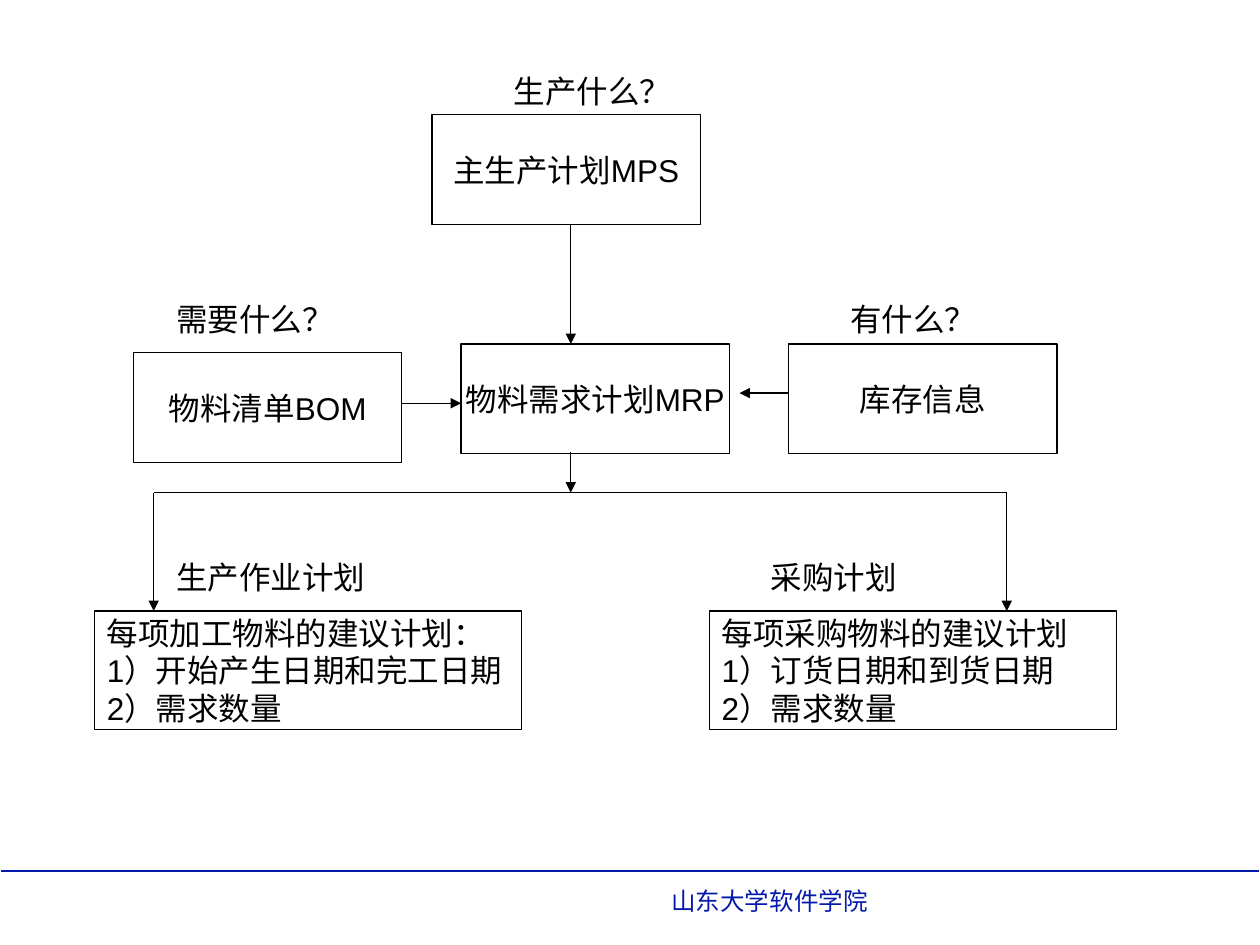
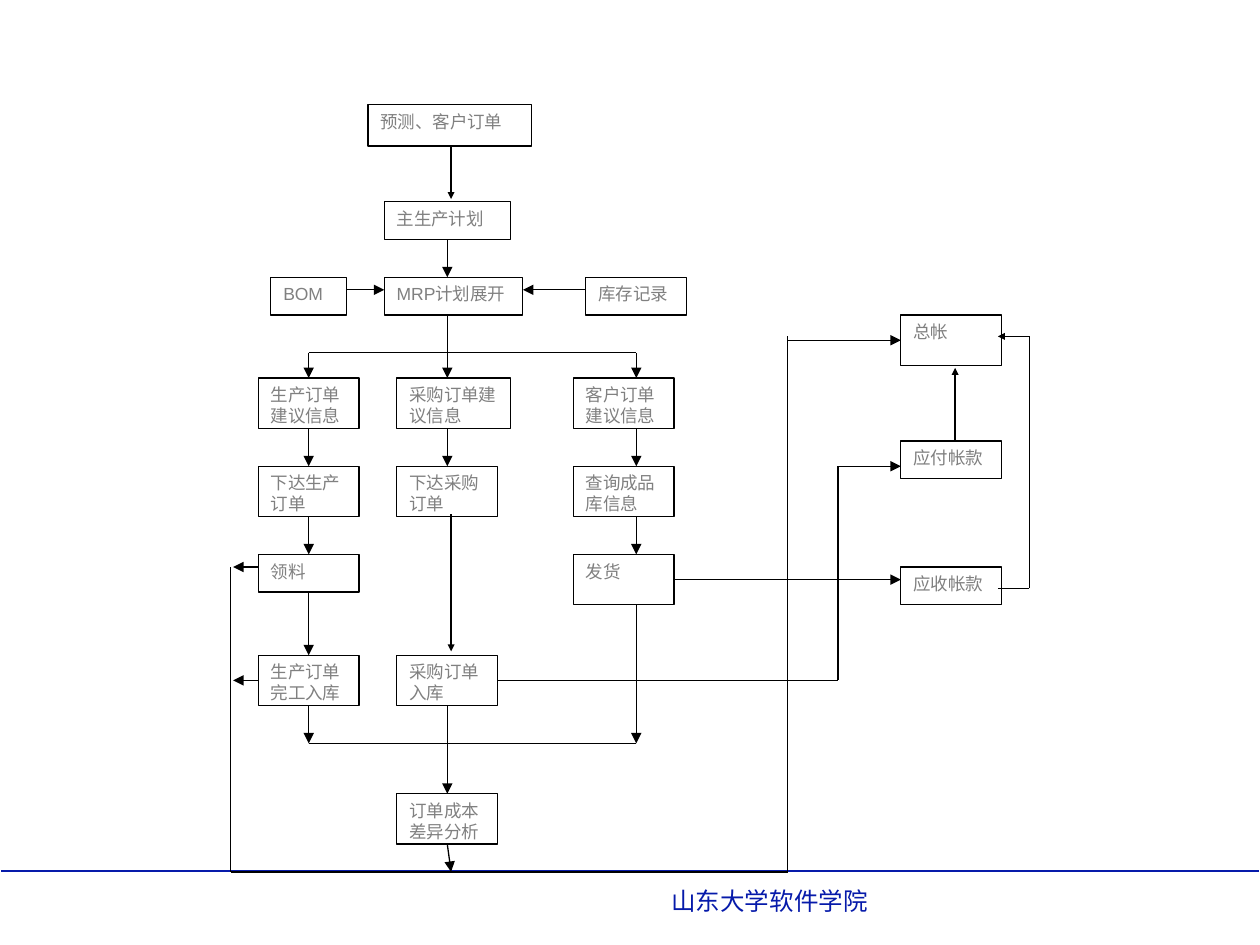
from itertools import pairwise

from lxml import etree
from pptx import Presentation
from pptx.dml.color import RGBColor
from pptx.enum.shapes import MSO_CONNECTOR, MSO_SHAPE
from pptx.enum.text import MSO_ANCHOR, PP_ALIGN
from pptx.oxml.ns import qn
from pptx.util import Pt

PX = 9144  # EMU per px, 100 px to the inch
BLACK = RGBColor(0x00, 0x00, 0x00)
GRAY = RGBColor(0x80, 0x80, 0x80)
WHITE = RGBColor(0xFF, 0xFF, 0xFF)
NAVY = RGBColor(0x06, 0x1A, 0xAA)
FONT = "Arial"
RECTANGLE = MSO_SHAPE.RECTANGLE
STRAIGHT = MSO_CONNECTOR.STRAIGHT
TOP, MIDDLE = MSO_ANCHOR.TOP, MSO_ANCHOR.MIDDLE
LEFT, CENTER = PP_ALIGN.LEFT, PP_ALIGN.CENTER
THIN, THICK = 0.75, 1
BLANK_LAYOUT = 6


class Diagram:
    """Draws flow diagrams, one slide at a time, in a shared style."""

    def __init__(self):
        self.deck = Presentation()
        self.deck.slide_width = 1000 * PX
        self.deck.slide_height = 750 * PX

    def new_slide(self):
        layout = self.deck.slide_layouts[BLANK_LAYOUT]
        self.page = self.deck.slides.add_slide(layout)
        self.sites = {}  # side midpoint -> (box, connection site)
        self.route((1, 691), (999, 691), width=THICK, color=NAVY)
        self.label("山东大学软件学院", 523, 698, 433, 34, size=14, color=NAVY)

    def set_text(self, shape, text, size, color, align=LEFT):
        shape.text_frame.text = text
        for paragraph in shape.text_frame.paragraphs:
            paragraph.alignment = align
            paragraph.font.size = Pt(size)
            paragraph.font.name = FONT
            paragraph.font.color.rgb = color

    def label(self, text, x, y, w, h=40, size=18, color=BLACK):
        box = self.page.shapes.add_textbox(x * PX, y * PX, w * PX, h * PX)
        box.text_frame.word_wrap = True
        self.set_text(box, text, size, color)

    def box(self, text, x, y, w, h, size=18, color=BLACK, fill=None,
            align=LEFT, anchor=MIDDLE, wrap=False):
        box = self.page.shapes.add_shape(RECTANGLE, x * PX, y * PX, w * PX, h * PX)
        box.shadow.inherit = False
        if fill is None:
            box.fill.background()
        else:
            box.fill.solid()
            box.fill.fore_color.rgb = fill
        box.line.color.rgb = BLACK
        box.line.width = Pt(THIN)
        box.text_frame.word_wrap = wrap
        box.text_frame.vertical_anchor = anchor
        self.set_text(box, text, size, color, align)
        midpoints = ((x + w / 2, y), (x, y + h / 2),
                     (x + w / 2, y + h), (x + w, y + h / 2))
        for site, point in enumerate(midpoints):
            self.sites[point] = (box, site)

    def step(self, text, x, y, w=80, h=40):
        self.box(text, x, y, w, h, size=10, color=GRAY, fill=WHITE,
                 anchor=TOP, wrap=True)

    def route(self, *points, head=None, width=THIN, color=BLACK):
        """Straight legs through the points; head sizes the final arrowhead."""
        for start, end in pairwise(points):
            leg = self.page.shapes.add_connector(
                STRAIGHT, *(length * PX for length in start + end))
            if start in self.sites:
                leg.begin_connect(*self.sites[start])
            if end in self.sites:
                leg.end_connect(*self.sites[end])
            leg.line.color.rgb = color
            leg.line.width = Pt(width)
            properties = leg._element.spPr
            etree.SubElement(properties, qn("a:effectLst"))
        if head:
            etree.SubElement(properties.find(qn("a:ln")), qn("a:tailEnd"),
                             type="triangle", w=head, len=head)

    def arrow(self, *points):
        self.route(*points, head="med")

    def thick_arrow(self, *points):
        self.route(*points, head="sm", width=THICK)


def draw_mrp_logic(diagram):
    diagram.new_slide()

    # Plans and inputs
    for text, x, y in (("主生产计划MPS", 343, 91), ("库存信息", 626, 273),
                       ("物料需求计划MRP", 366, 273), ("物料清单BOM", 106, 280)):
        diagram.box(text, x, y, 213, 87, align=CENTER)

    # Resulting plans
    diagram.box("每项采购物料的建议计划\n1）订货日期和到货日期\n2）需求数量",
                563, 485, 323, 94)
    diagram.box("每项加工物料的建议计划：\n1）开始产生日期和完工日期\n2）需求数量",
                75, 485, 339, 94)

    # Questions and headings
    for text, x, y, w in (("生产什么？", 398, 52, 150), ("需要什么？", 130, 233, 157),
                          ("有什么？", 665, 233, 150), ("生产作业计划", 130, 438, 189),
                          ("采购计划", 602, 438, 197)):
        diagram.label(text, x, y, w)

    # Flow
    diagram.arrow((453, 178), (453, 273))
    diagram.arrow((319, 320), (366, 320))
    diagram.arrow((626, 312), (587, 312))
    diagram.arrow((453, 359), (453, 391))
    diagram.route((122, 391), (799, 391))
    for x in (122, 799):
        diagram.arrow((x, 391), (x, 485))


def draw_order_flow(diagram):
    diagram.new_slide()

    # Planning
    diagram.step("预测、客户订单", 292, 83, 130, 33)
    diagram.step("主生产计划", 305, 160, 100, 30)
    diagram.step("MRP计划展开", 305, 220, 110, 30)
    diagram.step("BOM", 215, 220, 60, 30)
    diagram.step("库存记录", 465, 220, 80, 30)

    # Production orders
    make, buy, sell = 205, 315, 455
    diagram.step("生产订单建议信息", make, 300)
    diagram.step("下达生产订单", make, 370)
    diagram.step("领料", make, 440, h=30)
    diagram.step("生产订单完工入库", make, 520)

    # Purchase orders
    diagram.step("采购订单建议信息", buy, 300, w=90)
    diagram.step("下达采购订单", buy, 370)
    diagram.step("采购订单入库", buy, 520)
    diagram.step("订单成本差异分析", buy, 630)

    # Customer orders
    diagram.step("客户订单建议信息", sell, 300)
    diagram.step("查询成品库信息", sell, 370)
    diagram.step("发货", sell, 440)

    # Accounts
    diagram.step("总帐", 715, 250)
    diagram.step("应付帐款", 715, 350, h=30)
    diagram.step("应收帐款", 715, 450, h=30)

    # Planning flow
    diagram.thick_arrow((358, 117), (358, 158))
    diagram.arrow((355, 190), (355, 220))
    diagram.arrow((275, 230), (305, 230))
    diagram.arrow((465, 230), (415, 230))
    diagram.route((245, 280), (505, 280))

    # Flow down the three order columns
    for x, branch_top in ((245, 280), (355, 250), (505, 280)):
        diagram.arrow((x, branch_top), (x, 300))
        diagram.arrow((x, 340), (x, 370))
    for x, top, bottom in ((245, 410, 440), (245, 470, 520), (245, 560, 590),
                           (505, 410, 440), (505, 480, 590), (355, 560, 630)):
        diagram.arrow((x, top), (x, bottom))
    diagram.thick_arrow((358, 408), (358, 517))
    diagram.route((245, 590), (505, 590))

    # Flow to the accounts
    diagram.arrow((535, 460), (715, 460))
    diagram.arrow((625, 270), (715, 270))
    diagram.arrow((395, 540), (665, 540), (665, 370), (715, 370))
    diagram.thick_arrow((758, 350), (758, 292))
    diagram.thick_arrow((792, 467), (817, 467), (817, 267), (792, 267))

    # Cost collection line
    diagram.arrow((355, 670), (358, 692))
    for y in (450, 540):
        diagram.arrow((205, y), (185, y))
    diagram.route((183, 450), (183, 692), (625, 692), (625, 267), width=THICK)


def main():
    diagram = Diagram()
    draw_mrp_logic(diagram)
    draw_order_flow(diagram)
    diagram.deck.save("out.pptx")


if __name__ == "__main__":
    main()
